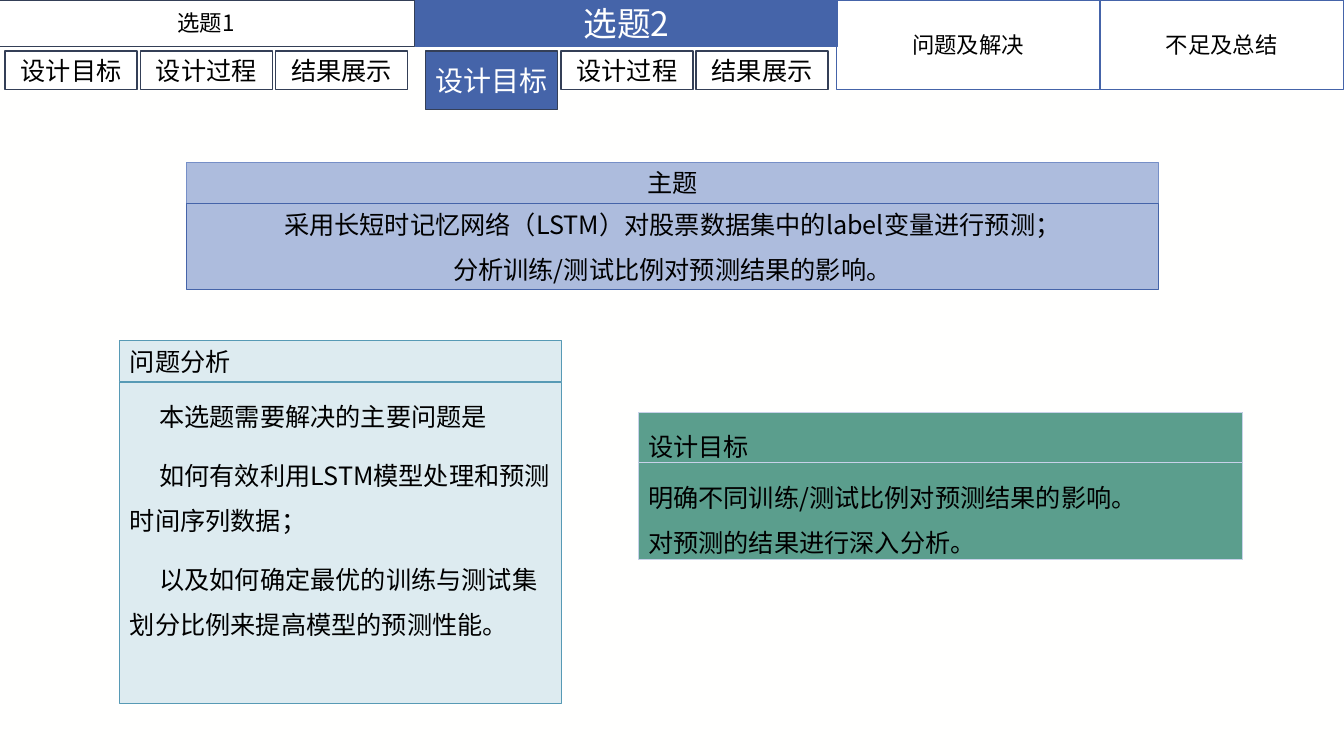
from dataclasses import dataclass

from lxml import etree
from pptx import Presentation
from pptx.dml.color import RGBColor
from pptx.enum.shapes import MSO_SHAPE
from pptx.enum.text import MSO_ANCHOR, PP_ALIGN
from pptx.oxml.ns import qn
from pptx.slide import Slide
from pptx.text.text import TextFrame
from pptx.util import Pt

RECTANGLE = MSO_SHAPE.RECTANGLE
TOP, MIDDLE = MSO_ANCHOR.TOP, MSO_ANCHOR.MIDDLE
LEFT, CENTER = PP_ALIGN.LEFT, PP_ALIGN.CENTER

FONT = "Noto Sans CJK SC"
BACKGROUND = RGBColor(0xFF, 0xFF, 0xFE)
WHITE = RGBColor(0xFF, 0xFF, 0xFF)
BLACK = RGBColor(0x00, 0x00, 0x00)
BLUE = RGBColor(0x45, 0x64, 0xA9)
NAVY = RGBColor(0x34, 0x3F, 0x57)
PALE_BLUE = RGBColor(0xAD, 0xBC, 0xDD)
MID_BLUE = RGBColor(0x76, 0x8F, 0xC7)
PALE_TEAL = RGBColor(0xDD, 0xEB, 0xF0)
TEAL = RGBColor(0x57, 0x9A, 0xB5)
GREEN = RGBColor(0x5B, 0x9E, 0x8D)
LIGHT_LINE = RGBColor(0xC8, 0xD2, 0xE9)

NAVIGATION_LINE = 1
PANEL_LINE = 0.75
SINGLE_SPACING = 22
WIDE_SPACING = 32
STEP_TOP = 36.4
STEP_WIDTH = 94.3
STEP_PITCH = 96.6
STEPS = ("设计目标", "设计过程", "结果展示")


@dataclass(frozen=True)
class Box:
    left: float
    top: float
    width: float
    height: float
    fill: RGBColor
    line: RGBColor
    paragraphs: tuple[str, ...]
    size: float = 18
    color: RGBColor = BLACK
    line_width: float = PANEL_LINE
    alignment: PP_ALIGN = LEFT
    anchor: MSO_ANCHOR = TOP
    side_margin: float = 7.2
    spacing: float = SINGLE_SPACING
    space_before: float = 0
    first_indent: float = 0


def navigation_box(left: float, top: float, width: float, height: float,
                   label: str, size: float, line: RGBColor,
                   active: bool = False) -> Box:
    return Box(left, top, width, height, BLUE if active else WHITE, line,
               (label,), size, WHITE if active else BLACK, NAVIGATION_LINE,
               CENTER, MIDDLE, side_margin=2, spacing=round(size * 1.2))


def step_boxes(left: float, active_step: str = "") -> list[Box]:
    """Row of step tabs under a topic; the active one is taller."""
    return [
        navigation_box(left + index * STEP_PITCH, STEP_TOP, STEP_WIDTH,
                       41.8 if step == active_step else 27.4, step,
                       20 if step == active_step else 18, NAVY,
                       step == active_step)
        for index, step in enumerate(STEPS)
    ]


PANELS = [
    Box(133.2, 115.9, 694.1, 29.2, PALE_BLUE, MID_BLUE, ("主题",),
        alignment=CENTER),
    Box(85.7, 243.4, 315.4, 29.2, PALE_TEAL, TEAL, ("问题分析",)),
    Box(455.8, 330.5, 432, 69.1, GREEN, LIGHT_LINE,
        ("明确不同训练/测试比例对预测结果的影响。",
         "对预测的结果进行深入分析。"), spacing=WIDE_SPACING),
    Box(455.8, 294.5, 432, 36, GREEN, LIGHT_LINE, ("设计目标",),
        spacing=WIDE_SPACING),
    Box(133.2, 145.4, 694.1, 61.2, PALE_BLUE, BLUE,
        ("采用长短时记忆网络（LSTM）对股票数据集中的label变量进行预测；",
         "分析训练/测试比例对预测结果的影响。"),
        alignment=CENTER, space_before=10),
    Box(85.7, 272.9, 315.4, 229.7, PALE_TEAL, TEAL,
        ("本选题需要解决的主要问题是",
         "如何有效利用LSTM模型处理和预测时间序列数据；",
         "以及如何确定最优的训练与测试集划分比例来提高模型的预测性能。"),
        spacing=WIDE_SPACING, space_before=10, first_indent=21),
]

NAVIGATION = [
    navigation_box(597.6, 0, 188, 64.1, "问题及解决", 16, BLUE),
    navigation_box(785.6, 0, 174.2, 64.1, "不足及总结", 16, BLUE),
    navigation_box(-1.4, 0, 297.4, 33.1, "选题1", 16, NAVY),
    navigation_box(296.6, 0, 301.7, 33.1, "选题2", 24, BLUE, active=True),
    *step_boxes(3.6),
    *step_boxes(304, active_step="设计目标"),
]


def write_paragraphs(text_frame: TextFrame, box: Box) -> None:
    text_frame.text = "\n".join(box.paragraphs)
    for paragraph in text_frame.paragraphs:
        paragraph.alignment = box.alignment
        paragraph.line_spacing = Pt(box.spacing)
        paragraph.space_before = Pt(box.space_before)
        if box.first_indent:
            properties = paragraph._p.get_or_add_pPr()
            properties.set("indent", str(Pt(box.first_indent)))
        for run in paragraph.runs:
            run.font.name = FONT
            run.font.size = Pt(box.size)
            run.font.color.rgb = box.color
            east_asian = etree.SubElement(run._r.get_or_add_rPr(), qn("a:ea"))
            east_asian.set("typeface", FONT)


def draw_box(slide: Slide, box: Box) -> None:
    shape = slide.shapes.add_shape(RECTANGLE, Pt(box.left), Pt(box.top),
                                   Pt(box.width), Pt(box.height))
    shape.shadow.inherit = False
    shape.fill.solid()
    shape.fill.fore_color.rgb = box.fill
    shape.line.color.rgb = box.line
    shape.line.width = Pt(box.line_width)
    text_frame = shape.text_frame
    text_frame.word_wrap = True
    text_frame.vertical_anchor = box.anchor
    text_frame.margin_left = text_frame.margin_right = Pt(box.side_margin)
    text_frame.margin_top = text_frame.margin_bottom = Pt(3.6)
    write_paragraphs(text_frame, box)


def main() -> None:
    presentation = Presentation()
    presentation.slide_width = Pt(960)
    presentation.slide_height = Pt(540)
    slide = presentation.slides.add_slide(presentation.slide_layouts[6])
    slide.background.fill.solid()
    slide.background.fill.fore_color.rgb = BACKGROUND
    for box in PANELS + NAVIGATION:
        draw_box(slide, box)
    presentation.save("out.pptx")


if __name__ == "__main__":
    main()
